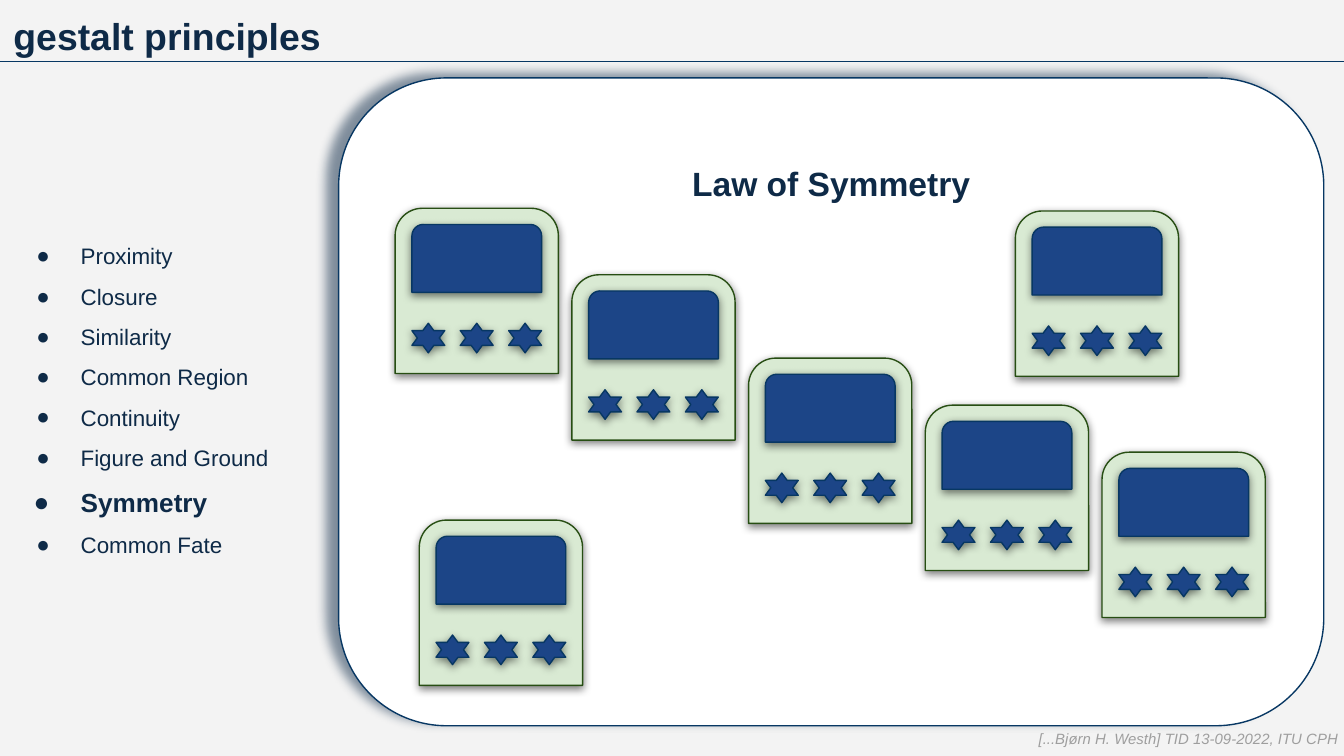
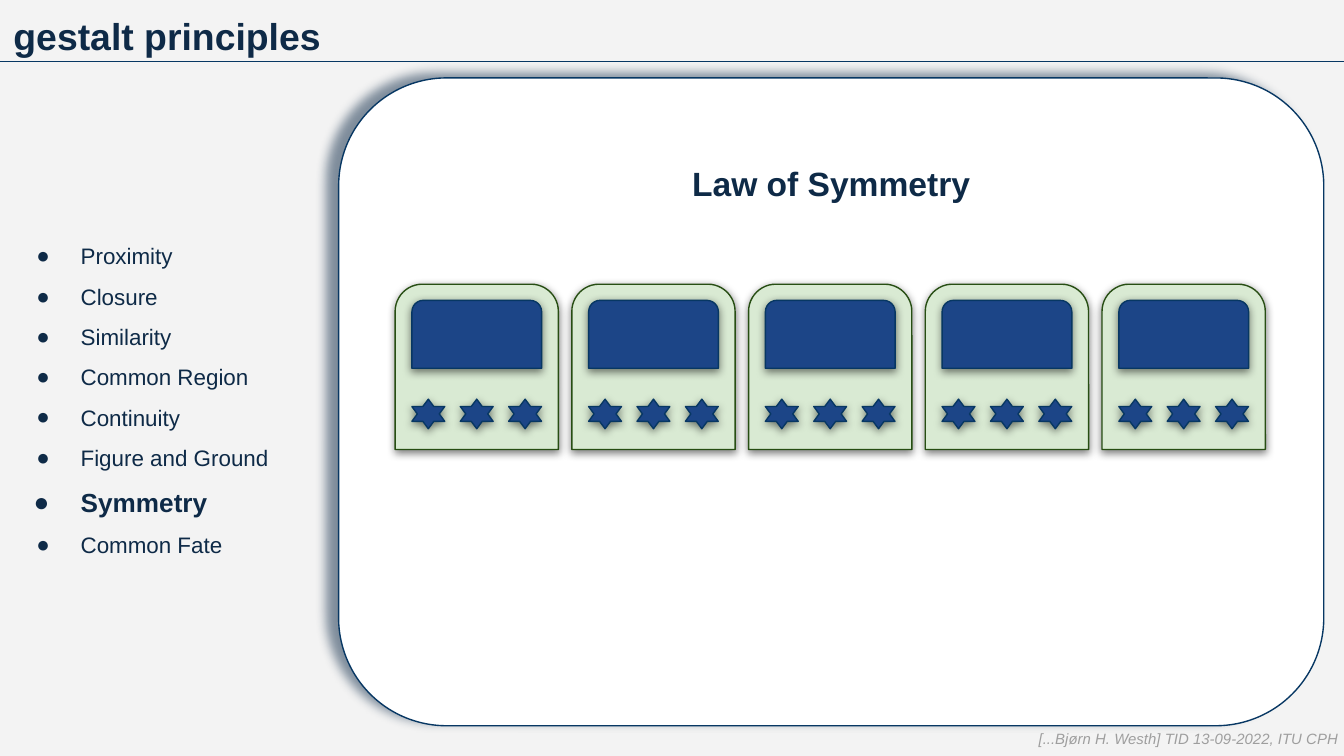
from dataclasses import dataclass
from typing import Any

from lxml import etree
from pptx import Presentation
from pptx.dml.color import RGBColor
from pptx.enum.shapes import MSO_CONNECTOR, MSO_SHAPE
from pptx.enum.text import MSO_ANCHOR, MSO_AUTO_SIZE, PP_ALIGN
from pptx.oxml.ns import qn
from pptx.util import Pt

EMU_PER_PX = 4572
ROUND_RECT = MSO_SHAPE.ROUNDED_RECTANGLE
ROUND_TOP = MSO_SHAPE.ROUND_2_SAME_RECTANGLE
STAR = MSO_SHAPE.STAR_6_POINT
STRAIGHT = MSO_CONNECTOR.STRAIGHT
TOP = MSO_ANCHOR.TOP
MIDDLE = MSO_ANCHOR.MIDDLE
LEFT = PP_ALIGN.LEFT
CENTER = PP_ALIGN.CENTER
NO_AUTOFIT = MSO_AUTO_SIZE.NONE
GROW_SHAPE = MSO_AUTO_SIZE.SHAPE_TO_FIT_TEXT


@dataclass(frozen=True)
class Theme:
    font: str = "Arial"
    background: str = "F3F3F3"
    ink: str = "0E2A47"
    panel: str = "FFFFFF"
    card: str = "D9EAD3"
    card_line: str = "274E13"
    accent: str = "1C4587"
    line: str = "073763"
    footer: str = "9E9E9E"
    shade: str = "000000"
    title_size: int = 20
    heading_size: int = 18
    current_size: int = 14
    list_size: int = 12
    footer_size: int = 8
    line_width: float = 0.75


@dataclass(frozen=True)
class Box:
    left: int
    top: int
    width: int
    height: int


@dataclass(frozen=True)
class Shadow:
    color: str
    alpha: int
    blur: float
    distance: float
    angle: int


@dataclass(frozen=True)
class Position:
    left: int
    top: int


THEME = Theme()
PANEL_SHADOW = Shadow(THEME.ink, 51, 5.6, 6.8, 199)
CARD_SHADOW = Shadow(THEME.shade, 50, 4.5, 1.5, 90)

SLIDE_WIDTH, SLIDE_HEIGHT = 2000, 1125
INSET = 20
TITLE_BOX = Box(0, 0, SLIDE_WIDTH, 100)
LIST_BOX = Box(0, 100, 504, 972)
PANEL_BOX = Box(504, 116, 1466, 964)
FOOTER_BOX = Box(1526, 1072, 494, 68)
RULE_TOP = 92
LIST_INDENT = 100
LIST_HANGING = 66
CURRENT_HANGING = 70

CARD_WIDTH, CARD_HEIGHT = 243, 246
CARD_PITCH = 263
ROW_LEFT = 588
WINDOW = Box(25, 24, 193, 101)
FIRST_STAR = Box(25, 171, 49, 44)
STAR_PITCH = 72
STAR_COUNT = 3

TITLE = "gestalt principles"
HEADING = "Law of Symmetry"
FOOTER = "[...Bjørn H. Westh] TID 13-09-2022, ITU CPH"
CURRENT = "Symmetry"
PRINCIPLES = [
    "Proximity", "Closure", "Similarity", "Common Region",
    "Continuity", "Figure and Ground", CURRENT, "Common Fate",
]


def row_of_cards(tops: list[int]) -> list[Position]:
    return [Position(ROW_LEFT + index * CARD_PITCH, top) for index, top in enumerate(tops)]


SCATTERED = row_of_cards([310, 409, 533, 603, 673]) + [Position(1511, 314), Position(624, 774)]
ALIGNED = row_of_cards([423] * 5)


def px(length: int) -> int:
    return length * EMU_PER_PX


def color(value: str) -> RGBColor:
    return RGBColor.from_string(value)


def edges(box: Box) -> tuple[int, int, int, int]:
    return px(box.left), px(box.top), px(box.width), px(box.height)


def place(shape: Any, box: Box) -> None:
    shape.left, shape.top, shape.width, shape.height = edges(box)


def format_frame(shape: Any, anchor: Any = TOP, auto_size: Any = NO_AUTOFIT) -> None:
    frame = shape.text_frame
    frame.word_wrap = True
    frame.auto_size = auto_size
    frame.vertical_anchor = anchor
    frame.margin_left = frame.margin_right = px(INSET)
    frame.margin_top = frame.margin_bottom = px(INSET)


def format_paragraph(paragraph: Any, size: int, ink: str = THEME.ink, bold: bool = False,
                     italic: bool = False, align: Any = LEFT, spacing: float = 1.0) -> None:
    paragraph.alignment = align
    paragraph.line_spacing = spacing
    paragraph.space_before = paragraph.space_after = Pt(0)
    for run in paragraph.runs:
        run.font.name = THEME.font
        run.font.size = Pt(size)
        run.font.bold = bold
        run.font.italic = italic
        run.font.color.rgb = color(ink)


def add_bullet(paragraph: Any, hanging: int) -> None:
    properties = paragraph._p.get_or_add_pPr()
    properties.set("marL", str(px(LIST_INDENT)))
    properties.set("indent", str(-px(hanging)))
    bullet_color = etree.SubElement(properties, qn("a:buClr"))
    etree.SubElement(bullet_color, qn("a:srgbClr"), val=THEME.ink)
    etree.SubElement(properties, qn("a:buFont"), typeface=THEME.font)
    etree.SubElement(properties, qn("a:buChar"), char="●")


def add_shadow(shape: Any, shadow: Shadow) -> None:
    shape.shadow.inherit = False
    effects = shape._element.spPr.find(qn("a:effectLst"))
    outer = etree.SubElement(
        effects, qn("a:outerShdw"), blurRad=str(Pt(shadow.blur)), dist=str(Pt(shadow.distance)),
        dir=str(shadow.angle * 60000), algn="bl", rotWithShape="0")
    shade = etree.SubElement(outer, qn("a:srgbClr"), val=shadow.color)
    etree.SubElement(shade, qn("a:alpha"), val=str(shadow.alpha * 1000))


def add_figure(slide: Any, kind: Any, box: Box, fill: str, line: str, shadow: Shadow) -> Any:
    shape = slide.shapes.add_shape(kind, *edges(box))
    shape.fill.solid()
    shape.fill.fore_color.rgb = color(fill)
    shape.line.color.rgb = color(line)
    shape.line.width = Pt(THEME.line_width)
    add_shadow(shape, shadow)
    return shape


def add_title(slide: Any) -> None:
    title = slide.shapes.title
    place(title, TITLE_BOX)
    title.text_frame.text = TITLE
    format_frame(title)
    format_paragraph(title.text_frame.paragraphs[0], THEME.title_size, bold=True)


def add_principles(slide: Any) -> None:
    body = slide.placeholders[1]
    place(body, LIST_BOX)
    body.fill.solid()
    body.fill.fore_color.rgb = color(THEME.background)
    body.text_frame.text = "\n".join(PRINCIPLES)
    format_frame(body, MIDDLE)
    for paragraph in body.text_frame.paragraphs:
        current = paragraph.text == CURRENT
        size = THEME.current_size if current else THEME.list_size
        format_paragraph(paragraph, size, bold=current, spacing=1.5)
        add_bullet(paragraph, CURRENT_HANGING if current else LIST_HANGING)


def add_panel(slide: Any) -> None:
    panel = add_figure(slide, ROUND_RECT, PANEL_BOX, THEME.panel, THEME.line, PANEL_SHADOW)
    panel.text_frame.text = HEADING
    format_frame(panel)
    format_paragraph(panel.text_frame.paragraphs[0], THEME.heading_size, bold=True,
                     align=CENTER, spacing=2.0)


def add_rule(slide: Any) -> None:
    rule = slide.shapes.add_connector(STRAIGHT, 0, px(RULE_TOP), px(SLIDE_WIDTH), px(RULE_TOP))
    rule.line.color.rgb = color(THEME.line)
    rule.line.width = Pt(THEME.line_width)
    etree.SubElement(rule._element.spPr, qn("a:effectLst"))


def add_footer(slide: Any) -> None:
    footer = slide.shapes.add_textbox(*edges(FOOTER_BOX))
    footer.text_frame.text = FOOTER
    format_frame(footer, auto_size=GROW_SHAPE)
    format_paragraph(footer.text_frame.paragraphs[0], THEME.footer_size, THEME.footer, italic=True)


def add_card_detail(slide: Any, kind: Any, card: Position, detail: Box, shift: int = 0) -> None:
    box = Box(card.left + detail.left + shift, card.top + detail.top, detail.width, detail.height)
    add_figure(slide, kind, box, THEME.accent, THEME.line, CARD_SHADOW)


def add_card(slide: Any, card: Position) -> None:
    box = Box(card.left, card.top, CARD_WIDTH, CARD_HEIGHT)
    add_figure(slide, ROUND_TOP, box, THEME.card, THEME.card_line, CARD_SHADOW)
    add_card_detail(slide, ROUND_TOP, card, WINDOW)
    for index in range(STAR_COUNT):
        add_card_detail(slide, STAR, card, FIRST_STAR, index * STAR_PITCH)


def add_symmetry_slide(presentation: Any, cards: list[Position]) -> None:
    slide = presentation.slides.add_slide(presentation.slide_layouts[1])
    add_title(slide)
    add_principles(slide)
    add_panel(slide)
    add_rule(slide)
    for card in cards:
        add_card(slide, card)
    add_footer(slide)


def main() -> None:
    presentation = Presentation()
    presentation.slide_width = px(SLIDE_WIDTH)
    presentation.slide_height = px(SLIDE_HEIGHT)
    background = presentation.slide_master.background.fill
    background.solid()
    background.fore_color.rgb = color(THEME.background)
    for cards in (SCATTERED, ALIGNED):
        add_symmetry_slide(presentation, cards)
    presentation.save("out.pptx")


if __name__ == "__main__":
    main()
